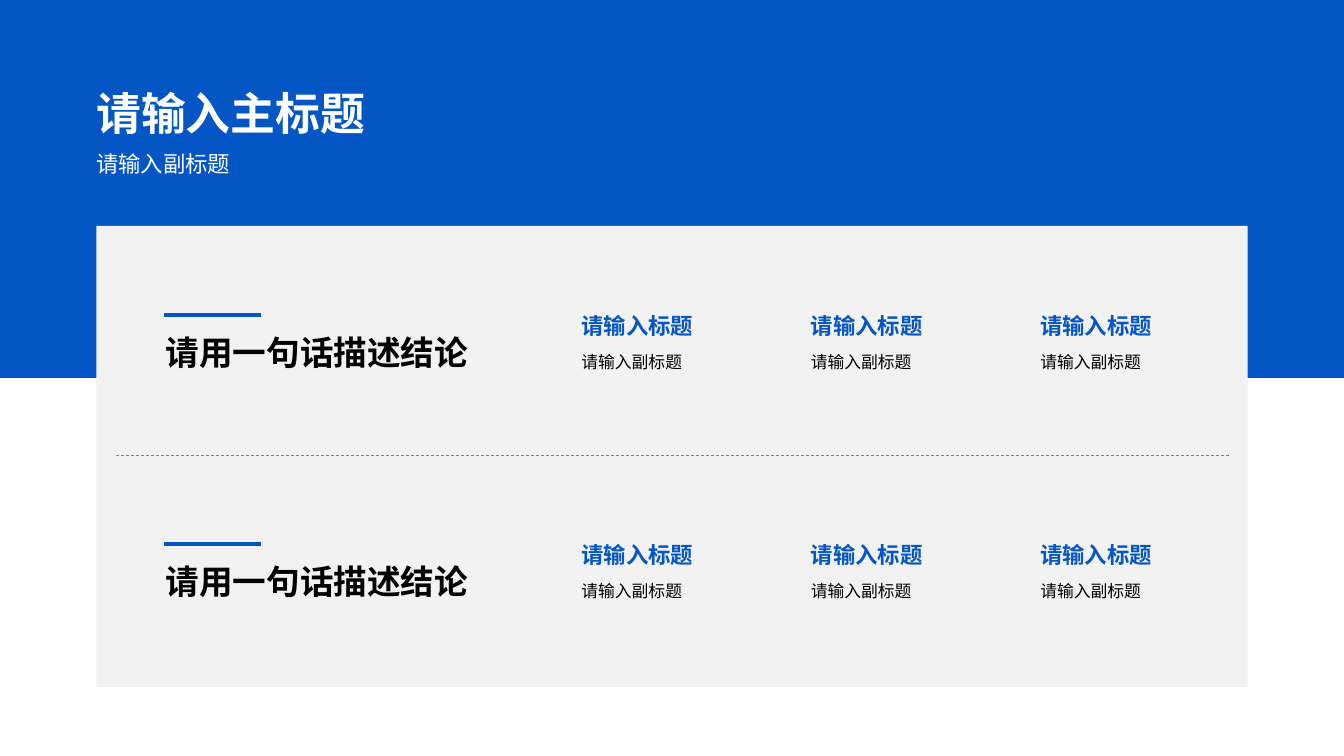
from lxml import etree
from pptx import Presentation
from pptx.dml.color import RGBColor
from pptx.enum import dml, shapes, text
from pptx.oxml.ns import qn
from pptx.util import Pt

BLUE, WHITE, BLACK = "0456C4", "FFFFFF", "000000"
PALE, GRAY = "F2F2F2", "808080"
LATIN, HAN = "Arial", "Noto Sans CJK SC"


def color(code):
    return RGBColor.from_string(code)


class Page:
    def __init__(self, slide, font, han):
        self.items = slide.shapes
        self.font = font
        self.han = han

    def rect(self, x, y, w, h, fill):
        box = self.items.add_shape(
            shapes.MSO_SHAPE.RECTANGLE, Pt(x), Pt(y), Pt(w), Pt(h))
        box.shadow.inherit = False
        box.fill.solid()
        box.fill.fore_color.rgb = color(fill)
        box.line.fill.background()

    def rule(self, x, y, w, ink, width, dash=None):
        """Draw a level line."""
        line = self.items.add_connector(
            shapes.MSO_CONNECTOR.STRAIGHT, Pt(x), Pt(y), Pt(x + w), Pt(y))
        line.line.color.rgb = color(ink)
        line.line.width = Pt(width)
        if dash:
            line.line.dash_style = dash
        etree.SubElement(line._element.spPr, qn("a:effectLst"))

    def label(self, x, y, w, h, words, size, ink,
              bold=False, font=None, wrap=False):
        box = self.items.add_textbox(Pt(x), Pt(y), Pt(w), Pt(h))
        frame = box.text_frame
        frame.word_wrap = wrap
        frame.auto_size = text.MSO_AUTO_SIZE.SHAPE_TO_FIT_TEXT
        run = frame.paragraphs[0].add_run()
        run.text = words
        run.font.size = Pt(size)
        run.font.bold = bold
        run.font.color.rgb = color(ink)
        run.font.name = font or self.font
        east = etree.SubElement(run.font._element, qn("a:ea"))
        east.set("typeface", self.han)


def main():
    deck = Presentation()
    deck.slide_width, deck.slide_height = Pt(960), Pt(540)
    page = Page(deck.slides.add_slide(deck.slide_layouts[6]), LATIN, HAN)

    page.rect(0, 0, 960, 270, BLUE)
    page.label(61.7, 57.6, 208, 46, "请输入主标题", 32, WHITE, bold=True)
    page.label(61.7, 103.7, 111.6, 26.6, "请输入副标题", 16, WHITE)

    page.rect(68.8, 161.3, 822.4, 329.4, PALE)
    page.rule(82.8, 325.4, 796, GRAY, 0.5, dml.MSO_LINE.DASH)

    for row in range(2):
        top = 219.5 + row * 163.6
        page.rule(117.2, top + 5.3, 69.2, BLUE, 3)
        page.label(111.3, top + 13.8, 232.6, 36.3,
                   "请用一句话描述结论", 24, BLACK, bold=True)
        for col in range(3):
            left = 408.2 + col * 163.9
            page.label(left, top, 99.4, 26.6, "请输入标题", 16, BLUE,
                       bold=True, font=HAN, wrap=True)
            page.label(left, top + 28.2, 87.1, 21.8, "请输入副标题", 12,
                       BLACK, font=HAN)

    deck.save("out.pptx")


if __name__ == "__main__":
    main()
